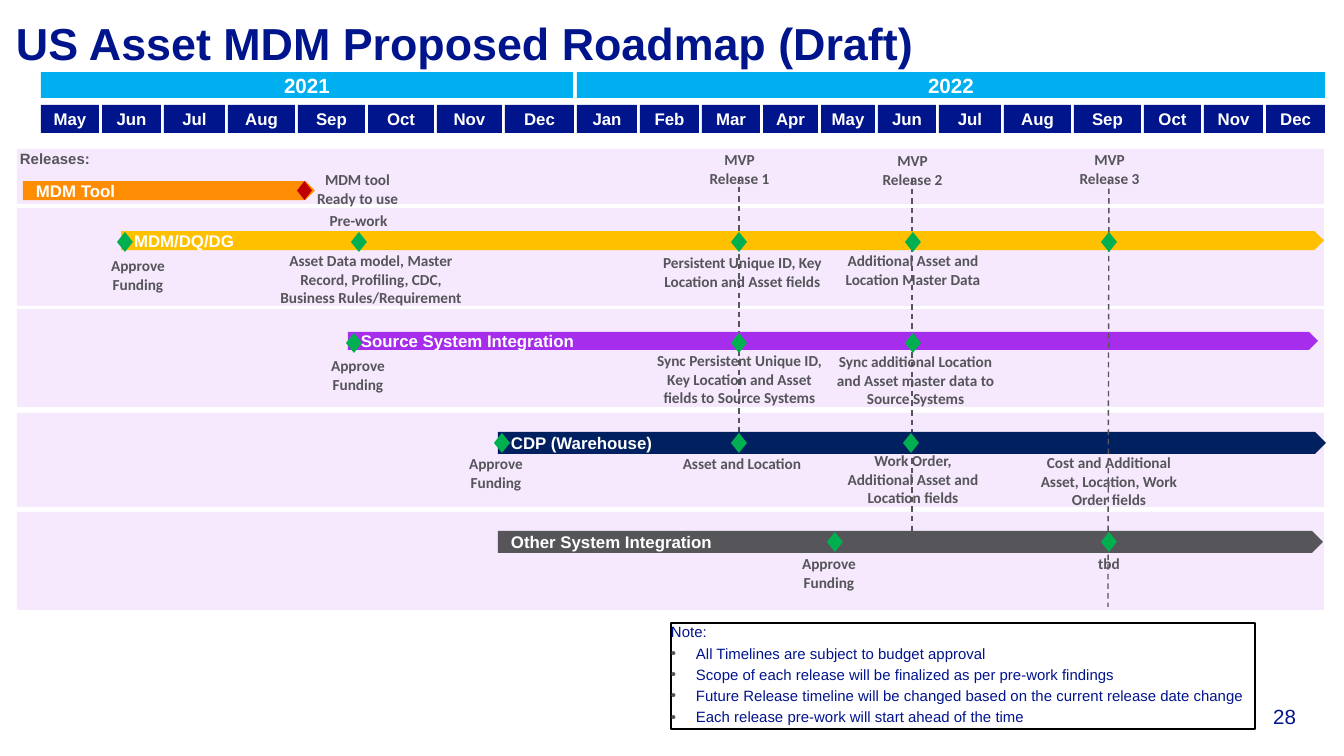
from lxml.etree import SubElement
from pptx import Presentation
from pptx.dml.color import RGBColor
from pptx.enum.dml import MSO_LINE
from pptx.enum.shapes import MSO_CONNECTOR, MSO_SHAPE as Preset
from pptx.enum.text import MSO_ANCHOR as Anchor, PP_ALIGN as Align
from pptx.oxml.ns import qn
from pptx.util import Pt

SCALE = 914400 / 134.4
WIDTH, HEIGHT = 1344, 756
COLORS = {
    "navy": "00148C", "sky": "00AFF0", "purple": "A72DED", "amber": "FFC000",
    "orange": "FF8D04", "midnight": "002060", "gray": "55555A", "green": "00B050",
    "red": "C00000", "white": "FFFFFF", "black": "000000",
}
FORMATS = {
    "title": {"name": "Arial", "size": 24, "bold": True, "color": "navy"},
    "year": {"name": "Arial", "size": 11, "bold": True, "color": "white"},
    "bar": {"name": "Arial", "size": 9, "bold": True, "color": "white"},
    "label": {"name": "Calibri", "size": 8.2, "bold": True, "color": "gray"},
    "releases": {"name": "Arial", "size": 8, "bold": True, "color": "gray"},
    "note": {"name": "Arial", "size": 8, "bold": False, "color": "navy"},
    "number": {"name": "Arial", "size": 11, "bold": False, "color": "navy"},
}

TITLE = "US Asset MDM Proposed Roadmap (Draft)"
YEARS = [("2021", 41, 573), ("2022", 577, 1325)]
MONTHS = [
    ("May", 41), ("Jun", 102), ("Jul", 164), ("Aug", 228), ("Sep", 298),
    ("Oct", 368), ("Nov", 437), ("Dec", 505), ("Jan", 577), ("Feb", 640),
    ("Mar", 702), ("Apr", 763), ("May", 821), ("Jun", 878), ("Jul", 939),
    ("Aug", 1004), ("Sep", 1074), ("Oct", 1144), ("Nov", 1204), ("Dec", 1266),
]
TIMELINE_END, MONTH_GAP = 1328, 3
BANDS = [(149, 55), (208, 98), (309, 98), (413, 94), (512, 98)]
BARS = [
    ("MDM Tool", "orange", 23, 181, 292, 19),
    ("MDM/DQ/DG", "amber", 121, 231, 1203, 19),
    ("Source System Integration", "purple", 348, 332, 970, 18),
    ("CDP (Warehouse)", "midnight", 498, 432, 828, 22),
    ("Other System Integration", "gray", 498, 531, 825, 22),
]
LINES_BEHIND = [(739, 177, 739, 452), (912, 179, 912, 554)]
LINE_IN_FRONT = (1109, 179, 1108, 607)
MILESTONES = [
    (242, [125, 359, 739, 913, 1109]),
    (343, [354, 739, 913]),
    (443, [502, 739, 911]),
    (542, [835, 1109]),
]
APPROVALS = [(99, 256), (319, 356), (457, 454), (790, 554)]
LABELS = [
    (692, 150, 95, 38, ["MVP", "Release 1"]),
    (865, 151, 95, 38, ["MVP", "Release 2"]),
    (1062, 150, 95, 38, ["MVP", "Release 3"]),
    (310, 170, 95, 38, ["MDM tool", "Ready to use"]),
    (311, 211, 95, 19, ["Pre-work"]),
    (271, 251, 200, 56, ["Asset Data model, Master Record, Profiling, CDC,",
                         "Business Rules/Requirement"]),
    (640, 253, 205, 38, ["Persistent Unique ID, Key Location and Asset fields"]),
    (822, 251, 182, 38, ["Additional Asset and Location Master Data"]),
    (652, 351, 175, 56, ["Sync Persistent Unique ID, Key Location and Asset fields to Source Systems"]),
    (834, 352, 163, 56, ["Sync additional Location and Asset master data to Source Systems"]),
    (662, 454, 160, 19, ["Asset and Location"]),
    (841, 451, 144, 56, ["Work Order, Additional Asset and Location fields"]),
    (1040, 453, 138, 56, ["Cost and Additional Asset, Location, Work Order fields"]),
    (1023, 554, 172, 19, ["tbd"]),
] + [(left, top, 78, 38, ["Approve", "Funding"]) for left, top in APPROVALS]
NOTES = [
    "Note:",
    "All Timelines are subject to budget approval",
    "Scope of each release will be finalized as per pre-work findings",
    "Future Release timeline will be changed based on the current release date change",
    "Each release pre-work will start ahead of the time",
]


def px(value):
    return round(value * SCALE)


def rgb(name):
    return RGBColor.from_string(COLORS[name])


def write(shape, lines, style, align=Align.CENTER, anchor=Anchor.MIDDLE,
          side=0, wrap=True, after=0, bullets=False):
    frame = shape.text_frame
    settings = {"word_wrap": wrap, "vertical_anchor": anchor, "margin_left": px(side),
                "margin_right": px(side), "margin_top": 0, "margin_bottom": 0}
    for key, value in settings.items():
        setattr(frame, key, value)
    for index, line in enumerate(lines):
        paragraph = frame.paragraphs[0] if index == 0 else frame.add_paragraph()
        run = paragraph.add_run()
        run.text = line
        paragraph.alignment = align
        paragraph.space_after = Pt(after)
        if bullets and index:
            add_bullet(paragraph)
        for key, value in FORMATS[style].items():
            if key == "color":
                run.font.color.rgb = rgb(value)
            else:
                setattr(run.font, key, Pt(value) if key == "size" else value)


def add_bullet(paragraph):
    properties = paragraph._p.get_or_add_pPr()
    properties.set("marL", str(px(25)))
    properties.set("indent", str(-px(25)))
    color = SubElement(properties, qn("a:buClr"))
    SubElement(color, qn("a:srgbClr"), val=COLORS["gray"])
    SubElement(properties, qn("a:buSzPct"), val="100000")
    SubElement(properties, qn("a:buFont"), typeface="Arial")
    SubElement(properties, qn("a:buChar"), char="•")


def add_block(slide, preset, left, top, width, height, fill=None, line=None, alpha=None):
    shape = slide.shapes.add_shape(preset, *map(px, (left, top, width, height)))
    shape.shadow.inherit = False
    if fill:
        shape.fill.solid()
        shape.fill.fore_color.rgb = rgb(fill)
    else:
        shape.fill.background()
    if line:
        shape.line.color.rgb = rgb(line)
        shape.line.width = Pt(0.75)
    else:
        shape.line.fill.background()
    if alpha:
        color = shape._element.spPr.find(qn("a:solidFill"))[0]
        SubElement(color, qn("a:alpha"), val=str(alpha * 1000))
    return shape


def add_text(slide, left, top, width, height, lines, style, **options):
    box = slide.shapes.add_textbox(*map(px, (left, top, width, height)))
    write(box, lines, style, **options)


def add_release_line(slide, ends):
    connector = slide.shapes.add_connector(MSO_CONNECTOR.STRAIGHT, *map(px, ends))
    connector.line.color.rgb = rgb("gray")
    connector.line.width = Pt(0.75)
    connector.line.dash_style = MSO_LINE.DASH
    SubElement(connector._element.spPr, qn("a:effectLst"))


def main():
    presentation = Presentation()
    presentation.slide_width, presentation.slide_height = px(WIDTH), px(HEIGHT)
    slide = presentation.slides.add_slide(presentation.slide_layouts[6])

    add_text(slide, 16, 14, 1238, 55, [TITLE], "title", align=Align.LEFT, anchor=Anchor.BOTTOM)
    for year, left, right in YEARS:
        write(add_block(slide, Preset.RECTANGLE, left, 72, right - left, 26, "sky"), [year], "year")
    next_lefts = [left for _, left in MONTHS[1:]] + [TIMELINE_END]
    for (month, left), next_left in zip(MONTHS, next_lefts):
        cell = add_block(slide, Preset.RECTANGLE, left, 105, next_left - left - MONTH_GAP, 28, "navy")
        write(cell, [month], "bar")

    for top, height in BANDS:
        add_block(slide, Preset.RECTANGLE, 17, top, 1307, height, "purple", alpha=10)
    for ends in LINES_BEHIND:
        add_release_line(slide, ends)
    for name, color, *place in BARS:
        bar = add_block(slide, Preset.PENTAGON, *place, color)
        write(bar, [name], "bar", align=Align.LEFT, side=13)
    add_release_line(slide, LINE_IN_FRONT)

    add_block(slide, Preset.DIAMOND, 297, 181, 15, 19, "red")
    for middle, centers in MILESTONES:
        for center in centers:
            add_block(slide, Preset.DIAMOND, center - 8, middle - 10, 16, 20, "green")
    add_text(slide, 7, 142, 98, 32, ["Releases:"], "releases", align=Align.LEFT, side=13, wrap=False)
    for *place, lines in LABELS:
        add_text(slide, *place, lines, "label")

    note = add_block(slide, Preset.RECTANGLE, 671, 623, 584, 106, line="black")
    write(note, NOTES, "note", align=Align.LEFT, anchor=Anchor.TOP, after=1.8, bullets=True)
    add_text(slide, 1218, 703, 78, 26, ["28"], "number", align=Align.RIGHT, anchor=Anchor.BOTTOM)
    presentation.save("out.pptx")


if __name__ == "__main__":
    main()
